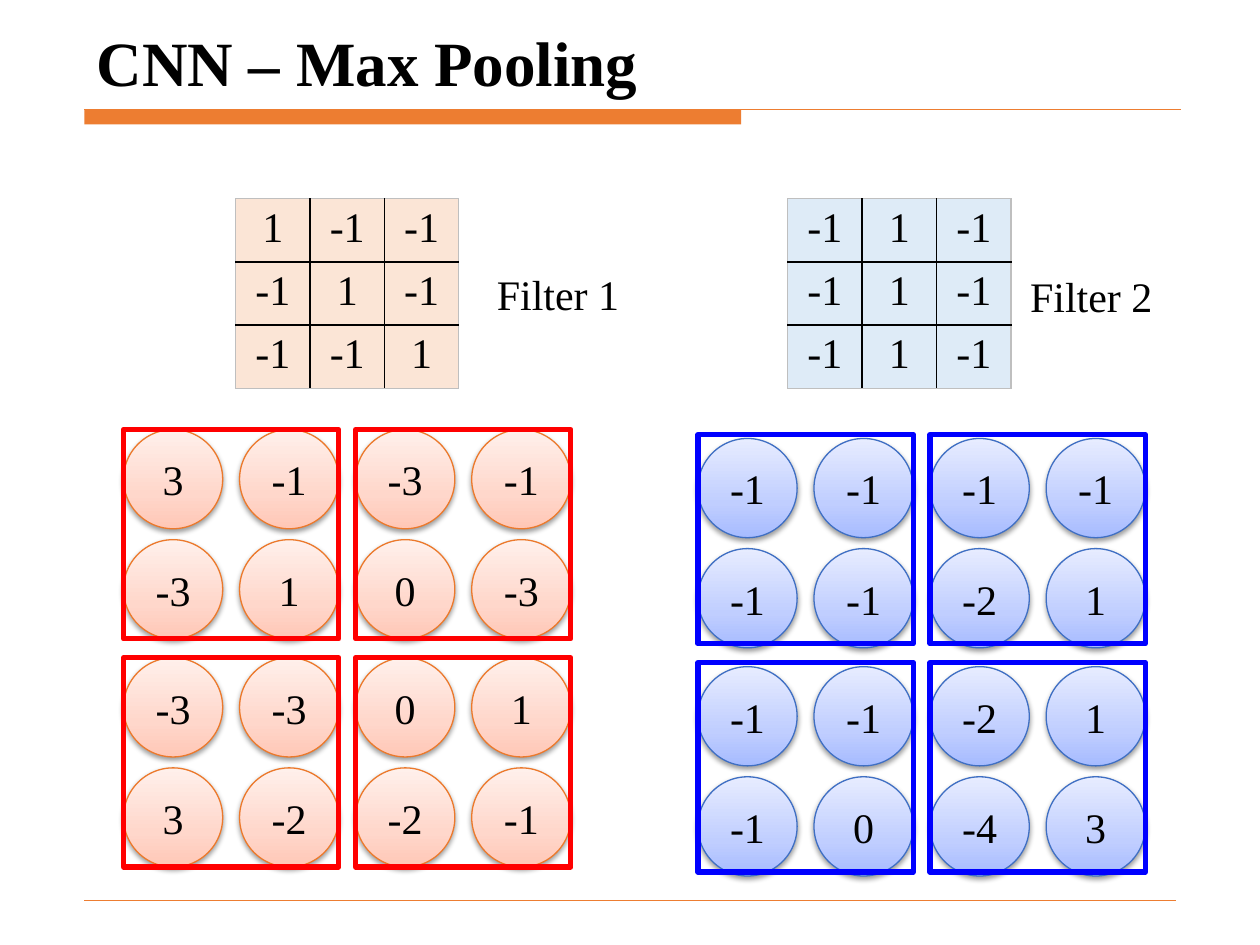
from copy import deepcopy

from lxml.etree import SubElement
from pptx import Presentation
from pptx.dml.color import RGBColor
from pptx.enum.shapes import MSO_CONNECTOR, MSO_SHAPE
from pptx.enum.text import MSO_ANCHOR, PP_ALIGN
from pptx.oxml.ns import qn
from pptx.util import Cm, Pt

FONT = "Times New Roman"
COLORS = {
    "text": "000000",
    "accent": "ED7D31",
    "grid": "000000",
    "grid_edge": "BFBFBF",
}
RED_THEME = {
    "cell": "FBE5D6",
    "gradient": ("FFC7B6", "FFD7CB", "FFF0EB"),
    "outline": "EC792B",
    "window": "FF0000",
}
BLUE_THEME = {
    "cell": "DEEBF7",
    "gradient": ("A6BBFF", "C0CEFF", "E7ECFF"),
    "outline": "3F6FC3",
    "window": "0000FF",
}
GRADIENT_POSITIONS = (0, 0.35, 1)

# All lengths below are in centimetres.
DIAMETER = 2.0
NEURON_PITCH = 2.34
ROW_PITCH = 2.22
WINDOW_PITCH_X, WINDOW_PITCH_Y = 4.68, 4.6
WINDOW_WIDTH, WINDOW_HEIGHT = 4.34, 4.22
CELL_WIDTH, CELL_HEIGHT = 1.5, 1.27

FILTER_1 = [[1, -1, -1], [-1, 1, -1], [-1, -1, 1]]
FILTER_2 = [[-1, 1, -1]] * 3
FEATURE_MAP_1 = [[3, -1, -3, -1], [-3, 1, 0, -3], [-3, -3, 0, 1], [3, -2, -2, -1]]
FEATURE_MAP_2 = [[-1, -1, -1, -1], [-1, -1, -2, 1], [-1, -1, -2, 1], [-1, 0, -4, 3]]


def rgb(color):
    return RGBColor.from_string(color)


def write(frame, text, size=24, bold=False, align=PP_ALIGN.CENTER):
    paragraph = frame.paragraphs[0]
    paragraph.text = str(text)
    paragraph.alignment = align
    font = paragraph.font
    font.name, font.size, font.bold = FONT, Pt(size), bold
    font.color.rgb = rgb(COLORS["text"])


def add_label(slide, left, top, width, height, text, anchor=MSO_ANCHOR.TOP, **style):
    frame = slide.shapes.add_textbox(Cm(left), Cm(top), Cm(width), Cm(height)).text_frame
    frame.word_wrap = True
    frame.vertical_anchor = anchor
    write(frame, text, **style)


def add_rule(slide, left, right, y, width):
    rule = slide.shapes.add_connector(MSO_CONNECTOR.STRAIGHT, Cm(left), Cm(y), Cm(right), Cm(y))
    rule.line.color.rgb = rgb(COLORS["accent"])
    rule.line.width = Pt(width)
    SubElement(rule._element.spPr, qn("a:effectLst"))


def add_title(slide):
    bar = slide.shapes.add_shape(MSO_SHAPE.RECTANGLE, Cm(1.7), Cm(2.21), Cm(13.24), Cm(0.3))
    bar.shadow.inherit = False
    bar.fill.solid()
    bar.fill.fore_color.rgb = rgb(COLORS["accent"])
    bar.line.fill.background()
    add_rule(slide, 1.7, 23.8, 2.21, 0.75)
    add_label(slide, 1.7, 0.53, 22.2, 1.6, "CNN – Max Pooling", MSO_ANCHOR.BOTTOM,
              size=36, bold=True, align=PP_ALIGN.LEFT)


def set_borders(cell, row, column, last):
    """Draw dark lines between cells and a pale edge around the table."""
    edges = {"L": column == 0, "R": column == last, "T": row == 0, "B": row == last}
    properties = cell._tc.get_or_add_tcPr()
    for position, (side, is_outer) in enumerate(edges.items()):
        border = SubElement(properties, qn(f"a:ln{side}"), w=str(Pt(0.75 if is_outer else 1)))
        fill = SubElement(border, qn("a:solidFill"))
        SubElement(fill, qn("a:srgbClr"), val=COLORS["grid_edge" if is_outer else "grid"])
        properties.insert(position, border)


def add_filter(slide, left, top, weights, theme):
    size = len(weights)
    table = slide.shapes.add_table(size, size, Cm(left), Cm(top),
                                   Cm(size * CELL_WIDTH), Cm(size * CELL_HEIGHT)).table
    table.first_row = table.horz_banding = False
    for r, row in enumerate(weights):
        for c, weight in enumerate(row):
            cell = table.cell(r, c)
            cell.fill.solid()
            cell.fill.fore_color.rgb = rgb(theme["cell"])
            write(cell.text_frame, weight)
            set_borders(cell, r, c, size - 1)


def add_soft_shadow(shape):
    shape.shadow.inherit = False
    effects = shape._element.spPr.find(qn("a:effectLst"))
    shadow = SubElement(effects, qn("a:outerShdw"), blurRad=str(Pt(3.1)), dist=str(Pt(1.6)),
                        dir="5400000", rotWithShape="0")
    color = SubElement(shadow, qn("a:srgbClr"), val="000000")
    SubElement(color, qn("a:alpha"), val="38000")


def add_neuron(slide, left, top, value, theme):
    neuron = slide.shapes.add_shape(MSO_SHAPE.OVAL, Cm(left), Cm(top), Cm(DIAMETER), Cm(DIAMETER))
    neuron.fill.gradient()
    neuron.fill.gradient_angle = 90
    stop_list = neuron._element.spPr.find(".//" + qn("a:gsLst"))
    stop_list.append(deepcopy(stop_list[0]))
    for stop, position, color in zip(neuron.fill.gradient_stops, GRADIENT_POSITIONS,
                                     theme["gradient"]):
        stop.position = position
        stop.color.rgb = rgb(color)
    neuron.line.color.rgb = rgb(theme["outline"])
    neuron.line.width = Pt(0.75)
    add_soft_shadow(neuron)
    neuron.text_frame.vertical_anchor = MSO_ANCHOR.MIDDLE
    write(neuron.text_frame, value)


def add_feature_map(slide, left, top, values, theme):
    for r, row in enumerate(values):
        y = top + r // 2 * WINDOW_PITCH_Y + r % 2 * ROW_PITCH
        for c, value in enumerate(row):
            add_neuron(slide, left + c * NEURON_PITCH, y, value, theme)


def add_pooling_windows(slide, left, top, theme):
    for r in range(2):
        for c in range(2):
            window = slide.shapes.add_shape(
                MSO_SHAPE.RECTANGLE, Cm(left + c * WINDOW_PITCH_X), Cm(top + r * WINDOW_PITCH_Y),
                Cm(WINDOW_WIDTH), Cm(WINDOW_HEIGHT))
            window.shadow.inherit = False
            window.fill.background()
            window.line.color.rgb = rgb(theme["window"])
            window.line.width = Pt(3)


def main():
    presentation = Presentation()
    presentation.slide_width, presentation.slide_height = Cm(25.4), Cm(19.05)
    slide = presentation.slides.add_slide(presentation.slide_layouts[6])

    add_title(slide)
    add_rule(slide, 1.7, 23.7, 18.14, 0.25)

    add_feature_map(slide, 2.49, 8.66, FEATURE_MAP_1, RED_THEME)
    add_filter(slide, 15.88, 4.01, FILTER_2, BLUE_THEME)
    add_label(slide, 20, 5.33, 4, 1.27, "Filter 2")
    add_feature_map(slide, 14.07, 8.84, FEATURE_MAP_2, BLUE_THEME)
    add_filter(slide, 4.75, 4.01, FILTER_1, RED_THEME)
    add_label(slide, 9.25, 5.28, 4, 1.27, "Filter 1")
    add_pooling_windows(slide, 2.49, 8.66, RED_THEME)
    add_pooling_windows(slide, 14.07, 8.76, BLUE_THEME)

    presentation.save("out.pptx")


if __name__ == "__main__":
    main()
